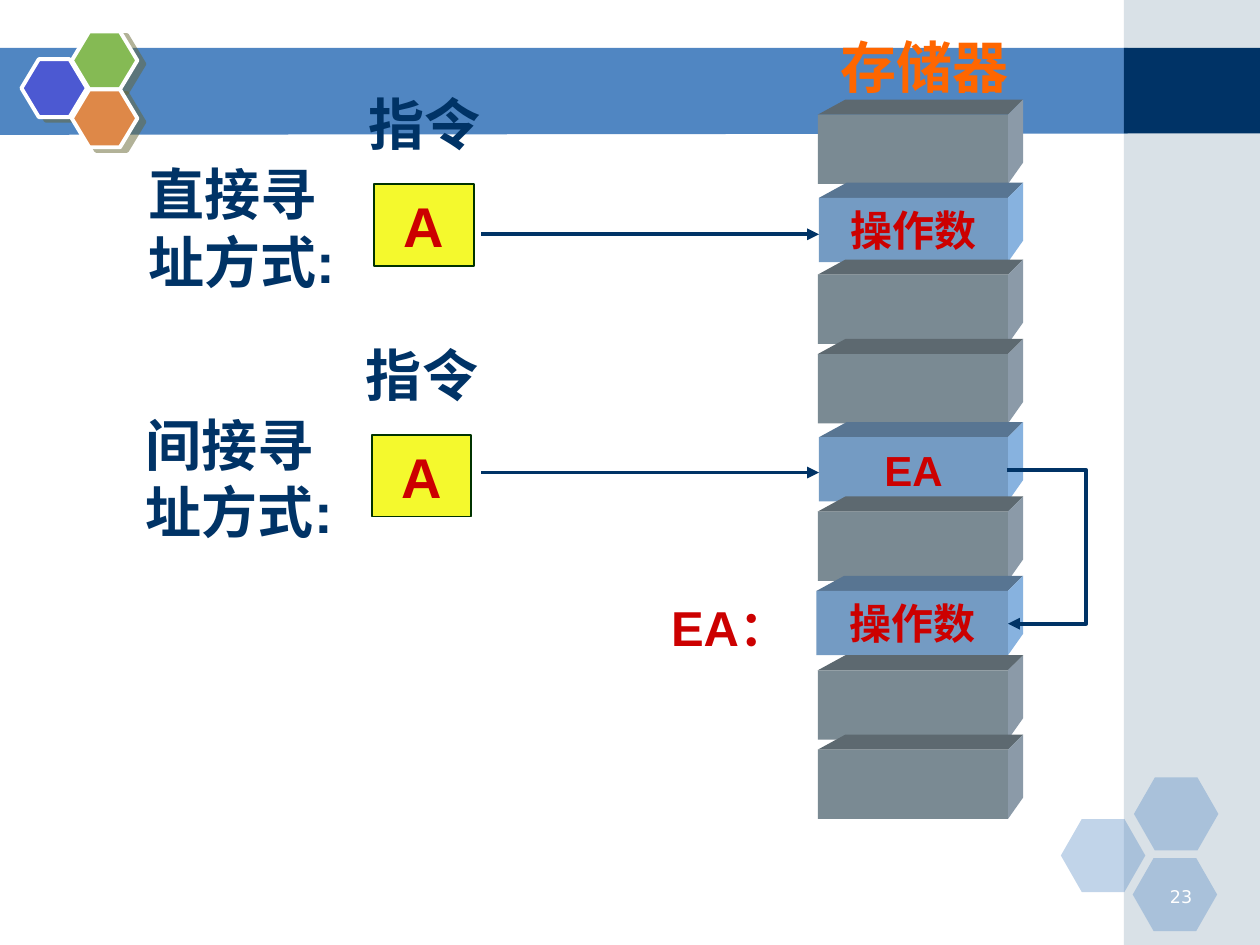
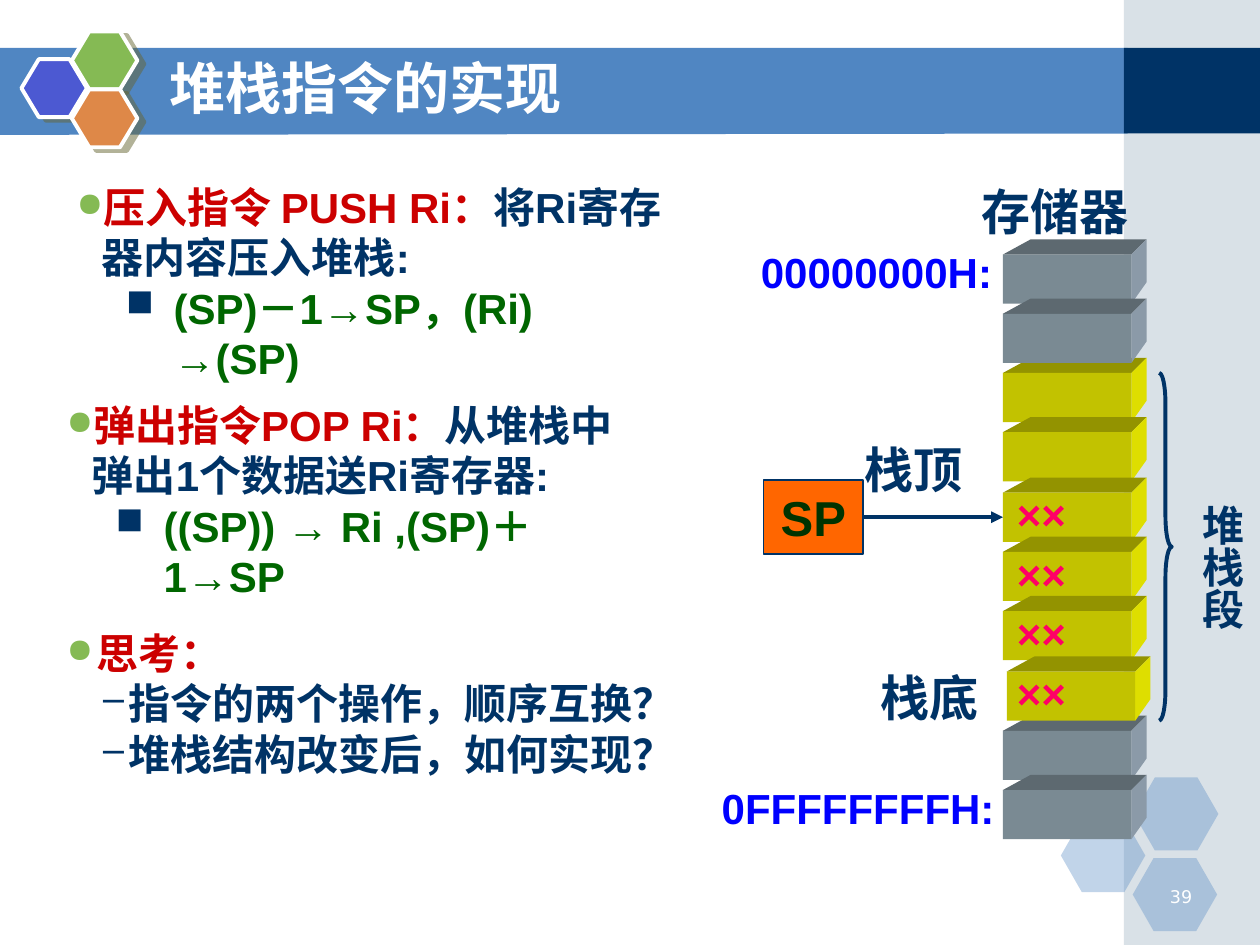
from dataclasses import dataclass

from lxml import etree
from pptx import Presentation
from pptx.dml.color import RGBColor
from pptx.enum import shapes, text
from pptx.oxml.ns import qn
from pptx.util import Inches, Pt

SHAPE = shapes.MSO_SHAPE
ALIGN = text.PP_ALIGN
MIDDLE = text.MSO_ANCHOR.MIDDLE


@dataclass(frozen=True)
class Theme:
    font: str = "Arial"
    number_font: str = "DejaVu Sans"
    navy: str = "003366"
    band: str = "5086C2"
    panel: str = "A0B5C4"
    white: str = "FFFFFF"
    red: str = "CC0000"
    green: str = "006600"
    dark_green: str = "003300"
    orange: str = "FF6600"
    yellow: str = "F4F92D"
    blue: str = "0000FF"
    pink: str = "FF0066"
    bullet: str = "85BA54"
    indigo: str = "4C59D2"
    copper: str = "DE8848"
    shadow: str = "666633"
    # front, top and side of a memory cell
    grey_cell: tuple = ("7A8A93", "5D6970", "8B9AA8")
    blue_cell: tuple = ("749BC3", "587592", "87B2DF")
    yellow_cell: tuple = ("C2C200", "939300", "DEDE00")
    title: int = 32
    label: int = 28
    body: int = 24
    number: int = 10
    rule: float = 2.25


T = Theme()


def rgb(color):
    return RGBColor.from_string(color)


def sub(parent, tag, **attrs):
    return etree.SubElement(parent, qn(tag), {k: str(v) for k, v in attrs.items()})


def paint(sp, fill=None, line=None, width=1.0, alpha=None):
    sp.shadow.inherit = False
    if fill:
        sp.fill.solid()
        sp.fill.fore_color.rgb = rgb(fill)
        if alpha:
            color = sp.fill._xPr.find(qn("a:solidFill"))[0]
            sub(color, "a:alpha", val=alpha * 1000)
    else:
        sp.fill.background()
    if line:
        sp.line.color.rgb = rgb(line)
        sp.line.width = Pt(width)
    else:
        sp.line.fill.background()


def add_box(slide, kind, at, fill=None, **style):
    sp = slide.shapes.add_shape(kind, *map(Inches, at))
    paint(sp, fill, **style)
    return sp


def add_polygon(slide, points, fill):
    points = [(Inches(x), Inches(y)) for x, y in points]
    builder = slide.shapes.build_freeform(*points[0])
    builder.add_line_segments(points[1:], close=True)
    paint(builder.convert_to_shape(), fill)


def format_run(r, color, size, font=T.font, bold=True):
    r.font.name = font
    r.font.size = Pt(size)
    r.font.bold = bold
    r.font.color.rgb = rgb(color)


def write(sp, words, color, size, align=ALIGN.CENTER, **run_style):
    tf = sp.text_frame
    tf.word_wrap = True
    tf.text = words
    p = tf.paragraphs[0]
    p.alignment = align
    format_run(p.runs[0], color, size, **run_style)
    return tf


def add_label(slide, at, words, color=T.navy, size=T.title, align=ALIGN.CENTER, **run_style):
    sp = slide.shapes.add_textbox(*map(Inches, at))
    return write(sp, words, color, size, align, **run_style)


def add_arrow(slide, start, end, kind=shapes.MSO_CONNECTOR.STRAIGHT):
    line = slide.shapes.add_connector(kind, *map(Inches, start + end))
    line.line.color.rgb = rgb(T.navy)
    line.line.width = Pt(T.rule)
    sub(line.line._get_or_add_ln(), "a:tailEnd", type="triangle")
    sub(line._element.spPr, "a:effectLst")
    return line


def add_loop_arrow(slide, x, top, bottom, reach):
    """Arrow that leaves to the right and returns to the same side lower down."""
    width = 0.01
    line = add_arrow(slide, (x, top), (x + width, bottom), shapes.MSO_CONNECTOR.ELBOW)
    guides = line._element.spPr.find(qn("a:prstGeom")).get_or_add_avLst()
    sub(guides, "a:gd", name="adj1", fmla=f"val {round(reach / width * 100000)}")


def add_cell(slide, at, colors, words=None):
    """Memory cell: a front face with a slanted top and right side."""
    x, y, w, h = at
    depth, lean, rise = 0.12, 0.22, 0.17
    right, back = x + w, x + w + depth
    front, top, side = colors
    add_polygon(slide, [(x, y), (x + lean, y - depth), (back, y - depth), (right, y)], top)
    add_polygon(slide, [(right, y), (back, y - depth), (back, y + h - rise), (right, y + h)], side)
    sp = add_box(slide, SHAPE.RECTANGLE, at, front)
    if words:
        write(sp, words, T.red, T.body)
    return sp


def add_bullet(p, char, color, percent, left, hang):
    pPr = p._p.get_or_add_pPr()
    pPr.set("marL", str(Inches(left)))
    pPr.set("indent", str(-Inches(hang)))
    sub(sub(pPr, "a:buClr"), "a:srgbClr", val=color)
    sub(pPr, "a:buSzPct", val=percent * 1000)
    sub(pPr, "a:buChar", char=char)


def add_points(slide, at, head, details, mark, left, hang, color, head_left=0.2):
    """Bulleted heading, given as (words, color) parts, with details below it."""
    tf = slide.shapes.add_textbox(*map(Inches, at)).text_frame
    tf.word_wrap = True
    p = tf.paragraphs[0]
    add_bullet(p, "●", T.bullet, 80, head_left, head_left)
    for words, part_color in head:
        r = p.add_run()
        r.text = words
        format_run(r, part_color, T.body)
    for words in details:
        p = tf.add_paragraph()
        p.text = words
        p.level = 1
        add_bullet(p, mark, T.navy, 90, left, hang)
        format_run(p.runs[0], color, T.body)


def add_hexagon(slide, at, adjust, fill, **style):
    sp = add_box(slide, SHAPE.HEXAGON, at, fill, **style)
    sp.adjustments[0] = adjust
    return sp


def add_frame(prs, number):
    """New slide with the band, side panel, hexagons and page number."""
    slide = prs.slides.add_slide(prs.slide_layouts[6])
    add_polygon(slide, [(-0.01, 0.38), (8.95, 0.38), (8.95, 1.06), (-0.01, 1.07)], T.band)
    add_box(slide, SHAPE.RECTANGLE, (8.92, 0, 1.08, 7.5), T.panel, alpha=40)
    add_box(slide, SHAPE.RECTANGLE, (8.92, 0.38, 1.08, 0.68), T.navy)
    for x, y in ((8.42, 6.5), (9, 6.17), (8.99, 6.81)):
        add_hexagon(slide, (x, y, 0.67, 0.58), 0.286, T.band, alpha=35)
    for x, y, fill in ((0.17, 0.47, T.indigo), (0.57, 0.25, T.bullet), (0.57, 0.71, T.copper)):
        sp = add_hexagon(slide, (x, y, 0.52, 0.46), 0.3, fill, line=T.white, width=T.rule)
        effects = sp._element.spPr.find(qn("a:effectLst"))
        shadow = sub(effects, "a:outerShdw", dist=Pt(4.5), dir=27 * 60000,
                     algn="ctr", rotWithShape=0)
        sub(sub(shadow, "a:srgbClr", val=T.shadow), "a:alpha", val=50000)
    add_label(slide, (9.06, 6.98, 0.5, 0.25), str(number), T.white, T.number, ALIGN.RIGHT,
              font=T.number_font, bold=False)
    return slide


def add_instruction(slide, x, y, mode):
    """Addressing mode name beside an instruction that holds address A."""
    add_label(slide, (x, y + 0.56, 1.81, 1.17), mode, align=ALIGN.LEFT)
    sp = add_box(slide, SHAPE.RECTANGLE, (x + 1.89, y + 0.8, 0.79, 0.65), T.yellow,
                 line=T.dark_green)
    write(sp, "A", T.red, T.title)
    add_label(slide, (x + 1.74, y, 1.1, 0.63), "指令")


def build_addressing(prs):
    slide = add_frame(prs, 23)
    cells = (
        (6.49, 0.91, None), (6.5, 1.57, "操作数"), (6.49, 2.18, None),
        (6.49, 2.81, None), (6.5, 3.47, "EA"), (6.49, 4.06, None),
        (6.48, 4.69, "操作数"), (6.49, 5.32, None), (6.49, 5.95, None),
    )
    for x, y, words in cells:
        height, colors = (0.51, T.blue_cell) if words else (0.55, T.grey_cell)
        add_cell(slide, (x, y, 8 - x, height), colors, words)
    add_label(slide, (6.42, 0.21, 1.84, 0.63), "存储器", T.orange)
    add_instruction(slide, 1.08, 0.66, "直接寻址方式:")
    add_instruction(slide, 1.06, 2.65, "间接寻址方式:")
    for y in (1.86, 3.75):
        add_arrow(slide, (3.82, y), (6.5, y))
    add_label(slide, (5.08, 4.69, 1.42, 0.57), "EA：", T.red, T.label)
    add_loop_arrow(slide, 7.99, 3.73, 4.95, 0.64)


def add_stack_memory(slide):
    size = (1.02, 0.39)
    for y in (2.96, 3.43):
        add_cell(slide, (7.96, y, *size), T.yellow_cell)
    top_cell = add_cell(slide, (7.96, 3.91, *size), T.yellow_cell)
    add_cell(slide, (7.96, 4.38, *size), T.yellow_cell)
    for y in (5.8, 6.27, 2.02, 2.49):
        add_cell(slide, (7.96, y, *size), T.grey_cell)
    for x, y in ((7.96, 4.85), (7.99, 5.33)):
        add_cell(slide, (x, y, *size), T.yellow_cell)
    for y in (3.88, 4.35, 4.82, 5.3):
        tf = add_label(slide, (8.07, y, 0.71, 0.4), "××", T.pink, T.body, ALIGN.LEFT)
        tf.margin_left = tf.margin_right = tf.margin_top = tf.margin_bottom = 0
    return top_cell


def build_stack(prs):
    slide = add_frame(prs, 39)
    title = add_label(slide, (1.25, 0.46, 7.33, 0.46), "堆栈指令的实现", T.white, align=ALIGN.LEFT)
    title.vertical_anchor = MIDDLE
    add_points(slide, (0.51, 1.39, 4.88, 1.57),
               [("压入指令 PUSH Ri：", T.red), ("将Ri寄存器内容压入堆栈:", T.navy)],
               ["(SP)－1→SP，(Ri) →(SP)"], "■", 0.77, 0.38, T.green)
    add_points(slide, (0.43, 3.12, 4.85, 1.75),
               [("弹出指令POP Ri：", T.red), ("从堆栈中弹出1个数据送Ri寄存器:", T.navy)],
               ["((SP)) → Ri ,(SP)＋1→SP"], "■", 0.77, 0.38, T.green)
    add_points(slide, (0.43, 4.93, 5.2, 1.5), [("思考：", T.red)],
               ["指令的两个操作，顺序互换？", "堆栈结构改变后，如何实现？"],
               "–", 0.49, 0.2, T.navy, head_left=0.24)

    top_cell = add_stack_memory(slide)
    pointer = add_box(slide, SHAPE.RECTANGLE, (6.06, 3.81, 0.79, 0.59), T.orange, line=T.navy)
    write(pointer, "SP", T.dark_green, T.label)
    arrow = add_arrow(slide, (6.85, 4.1), (7.96, 4.1))
    arrow.begin_connect(pointer, 3)
    arrow.end_connect(top_cell, 1)

    add_label(slide, (7.55, 1.39, 1.65, 0.57), "存储器", size=T.label)
    add_label(slide, (6.76, 3.44, 1.18, 0.57), "栈顶", size=T.label, align=ALIGN.LEFT)
    add_label(slide, (6.84, 5.25, 1.02, 0.57), "栈底", size=T.label, align=ALIGN.RIGHT)
    add_label(slide, (5.94, 1.91, 2.15, 0.5), "00000000H:", T.blue, T.body, ALIGN.LEFT)
    add_label(slide, (5.63, 6.16, 2.46, 0.5), "0FFFFFFFFH:", T.blue, T.body, ALIGN.LEFT)

    brace = add_box(slide, SHAPE.RIGHT_BRACE, (9.2, 2.96, 0.1, 2.76), line=T.navy, width=T.rule)
    brace.adjustments[0] = 2.4
    segment = add_label(slide, (9.35, 3.91, 0.6, 1.26), "堆栈段", size=T.body, align=ALIGN.LEFT)
    segment._txBody.bodyPr.set("vert", "eaVert")


def main():
    prs = Presentation()
    prs.slide_width, prs.slide_height = Inches(10), Inches(7.5)
    build_addressing(prs)
    build_stack(prs)
    prs.save("out.pptx")


if __name__ == "__main__":
    main()
